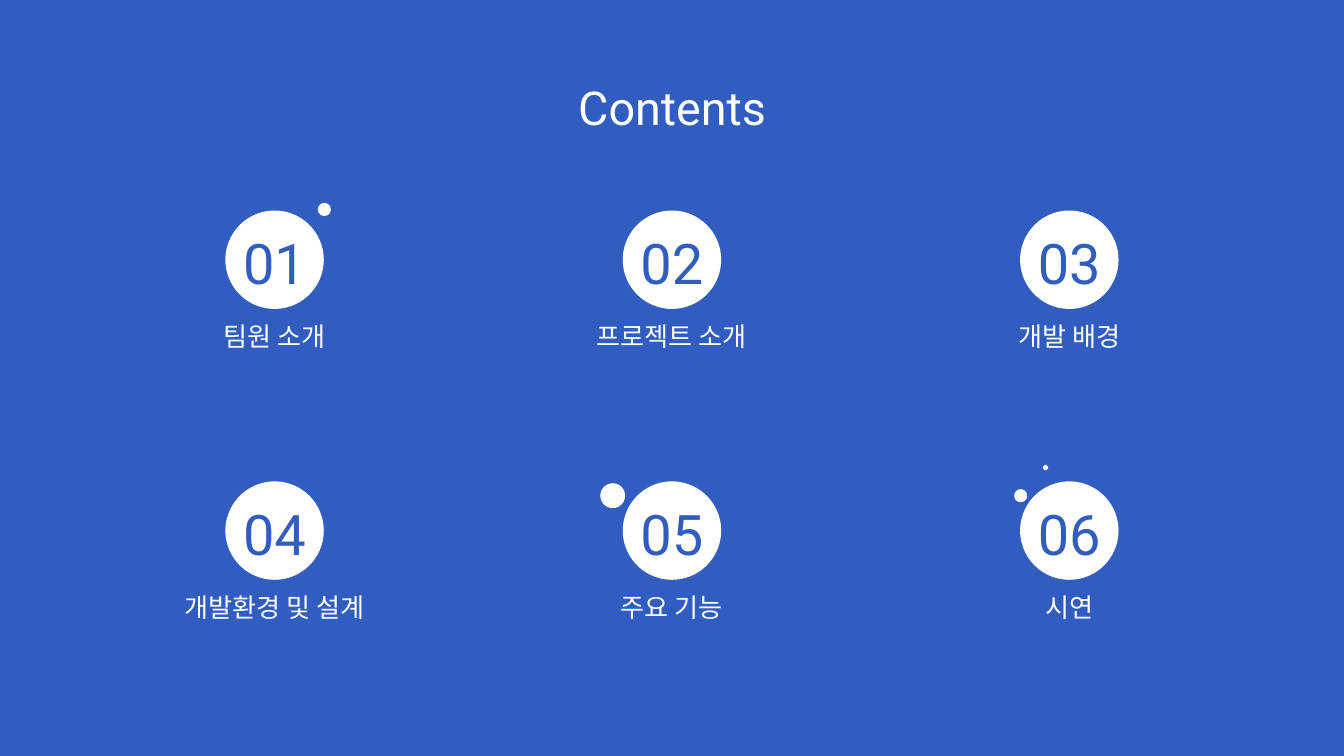
"""Build a contents slide with six numbered topics in a three-by-two grid."""
from pptx import Presentation
from pptx.dml.color import RGBColor
from pptx.enum.shapes import MSO_SHAPE as Shape
from pptx.enum.text import MSO_ANCHOR as Anchor, PP_ALIGN as Align
from pptx.util import Cm, Pt

BLUE = RGBColor(0x30, 0x5D, 0xBF)
WHITE = RGBColor(0xFF, 0xFF, 0xFF)

presentation = Presentation()
presentation.slide_width = Cm(25.4)
presentation.slide_height = Cm(14.29)
slide = presentation.slides.add_slide(presentation.slide_layouts[6])
slide.background.fill.solid()
slide.background.fill.fore_color.rgb = BLUE


def add_text(text, *, left, top, width, height, size, color=WHITE, anchor=Anchor.TOP):
    box = slide.shapes.add_textbox(Cm(left), Cm(top), Cm(width), Cm(height))
    frame = box.text_frame
    frame.word_wrap = True
    frame.vertical_anchor = anchor
    frame.margin_left = frame.margin_right = Cm(0.25)
    frame.margin_top = frame.margin_bottom = Cm(0.25)
    paragraph = frame.paragraphs[0]
    paragraph.alignment = Align.CENTER
    run = paragraph.add_run()
    run.text = text
    run.font.name = "Roboto"
    run.font.size = Pt(size)
    run.font.color.rgb = color


def add_circle(center_x, center_y, diameter):
    left, top = center_x - diameter / 2, center_y - diameter / 2
    circle = slide.shapes.add_shape(
        Shape.OVAL, Cm(left), Cm(top), Cm(diameter), Cm(diameter))
    circle.shadow.inherit = False
    circle.fill.solid()
    circle.fill.fore_color.rgb = WHITE
    circle.line.fill.background()


add_text("Contents", left=0.86, top=1.24, width=23.68, height=1.6, size=25)

topics = ["팀원 소개", "프로젝트 소개", "개발 배경", "개발환경 및 설계", "주요 기능", "시연"]
first_x, first_y = 5.19, 4.91
column_step, row_step = 7.51, 5.12
diameter, label_width = 1.86, 6.73

for index, topic in enumerate(topics):
    row, column = divmod(index, 3)
    center_x = first_x + column * column_step
    center_y = first_y + row * row_step
    add_circle(center_x, center_y, diameter)
    add_text(f"{index + 1:02}", left=center_x - diameter / 2, top=center_y - diameter / 2,
             width=diameter, height=diameter, size=30, color=BLUE, anchor=Anchor.BOTTOM)
    add_text(topic, left=center_x - label_width / 2, top=center_y + 0.89,
             width=label_width, height=1.17, size=14)

satellites = [(6.13, 3.96, 0.25), (19.29, 9.37, 0.25), (19.76, 8.84, 0.1), (11.58, 9.37, 0.47)]
for center_x, center_y, satellite_diameter in satellites:
    add_circle(center_x, center_y, satellite_diameter)

presentation.save("out.pptx")
